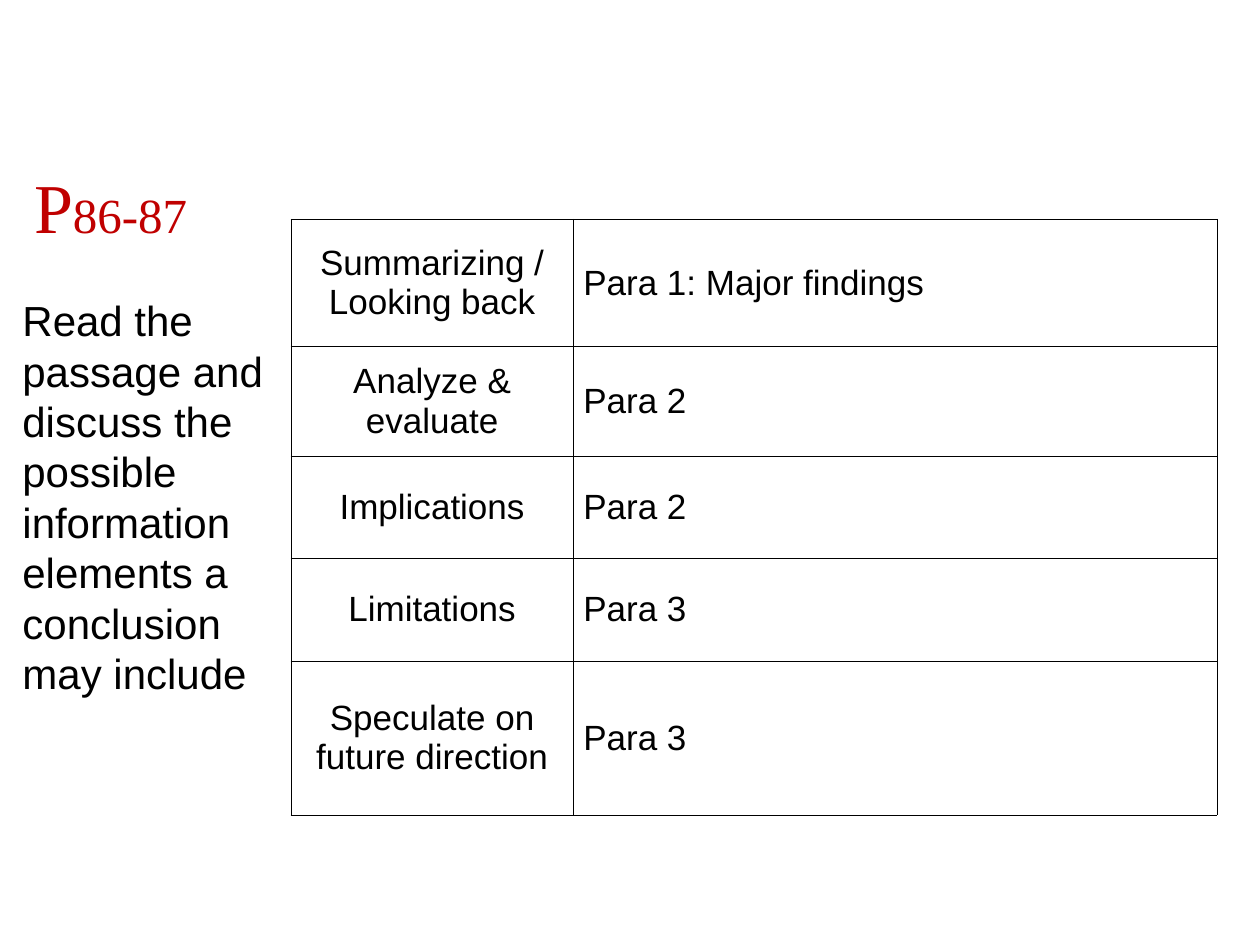
from dataclasses import dataclass

from lxml import etree
from pptx import Presentation
from pptx.dml.color import RGBColor
from pptx.enum.text import MSO_ANCHOR, MSO_AUTO_SIZE, PP_ALIGN
from pptx.oxml.ns import qn
from pptx.util import Inches, Pt

TOP, MIDDLE = MSO_ANCHOR.TOP, MSO_ANCHOR.MIDDLE
LEFT, CENTER = PP_ALIGN.LEFT, PP_ALIGN.CENTER
NO_FIT = MSO_AUTO_SIZE.NONE


@dataclass(frozen=True)
class Theme:
    ink: str = "000000"
    red: str = "C00000"
    sans: str = "Arial"
    serif: str = "Times New Roman"
    big: int = 40
    page: int = 28
    body: int = 24
    cell: int = 20
    rule: float = 0.45
    lead: float = 1.2


THEME = Theme()
COLS = (2.24, 5.11)
ROWS = (
    (1.01, "Summarizing / Looking back", "Para 1: Major findings"),
    (0.87, "Analyze & evaluate", "Para 2"),
    (0.81, "Implications", "Para 2"),
    (0.82, "Limitations", "Para 3"),
    (1.22, "Speculate on future direction", "Para 3"),
)


def style(para, face, size, color, align=LEFT):
    para.alignment = align
    para.font.name = face
    para.font.size = Pt(size)
    para.font.color.rgb = RGBColor.from_string(color)


def set_frame(frame):
    frame.word_wrap = True
    frame.auto_size = NO_FIT
    frame.vertical_anchor = TOP
    frame.margin_left = frame.margin_right = Inches(0.1)
    frame.margin_top = frame.margin_bottom = Inches(0.05)


def add_title(slide, box):
    title = slide.shapes.title
    title.left, title.top, title.width, title.height = map(Inches, box)
    frame = title.text_frame
    set_frame(frame)
    para = frame.paragraphs[0]
    for text, size in (("P", THEME.big), ("86-87", THEME.page)):
        run = para.add_run()
        run.text = text
        run.font.size = Pt(size)
    style(para, THEME.serif, THEME.big, THEME.red)
    para.line_spacing = Pt(THEME.big * THEME.lead)


def add_task(slide, box):
    frame = slide.shapes.add_textbox(*map(Inches, box)).text_frame
    set_frame(frame)
    para = frame.paragraphs[0]
    para.text = ("Read the passage and discuss the possible "
                 "information elements a conclusion may include")
    style(para, THEME.sans, THEME.body, THEME.ink)
    para.line_spacing = Pt(THEME.body * THEME.lead)


def add_rules(cell):
    """Draw a thin line on all four sides of a cell."""
    props = cell._tc.get_or_add_tcPr()
    for spot, side in enumerate(("a:lnL", "a:lnR", "a:lnT", "a:lnB")):
        line = etree.Element(qn(side), w=str(Pt(THEME.rule)))
        fill = etree.SubElement(line, qn("a:solidFill"))
        etree.SubElement(fill, qn("a:srgbClr"), val=THEME.ink)
        props.insert(spot, line)


def fill_cell(cell, text, align):
    cell.fill.background()
    cell.vertical_anchor = MIDDLE
    cell.margin_left = cell.margin_right = Inches(0.08)
    cell.margin_top = cell.margin_bottom = Inches(0.05)
    cell.text = text
    style(cell.text_frame.paragraphs[0], THEME.sans, THEME.cell,
          THEME.ink, align)
    add_rules(cell)


def add_grid(slide, box):
    table = slide.shapes.add_table(
        len(ROWS), len(COLS), *map(Inches, box)).table
    table.first_row = table.horz_banding = False
    for col, width in zip(table.columns, COLS):
        col.width = Inches(width)
    for row, (height, *texts) in zip(table.rows, ROWS):
        row.height = Inches(height)
        for cell, text, align in zip(row.cells, texts, (CENTER, LEFT)):
            fill_cell(cell, text, align)


def main():
    deck = Presentation()
    deck.slide_width, deck.slide_height = Inches(10), Inches(7.5)
    slide = deck.slides.add_slide(deck.slide_layouts.get_by_name("Title Only"))
    add_grid(slide, (2.31, 1.74, sum(COLS), sum(row[0] for row in ROWS)))
    add_title(slide, (0.17, 1.25, 2.08, 0.77))
    add_task(slide, (0.08, 2.29, 2.17, 3.3))
    deck.save("out.pptx")


if __name__ == "__main__":
    main()
